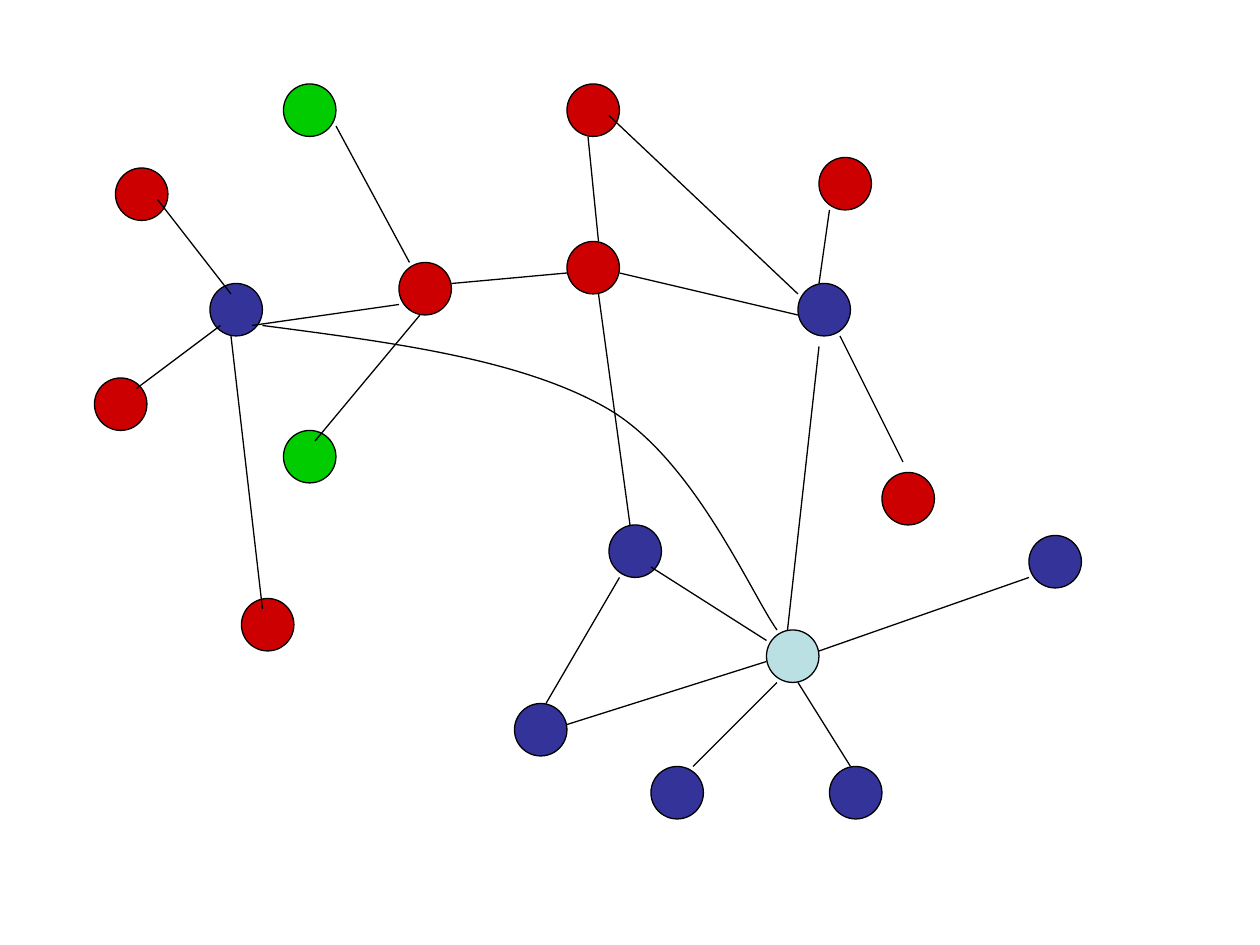
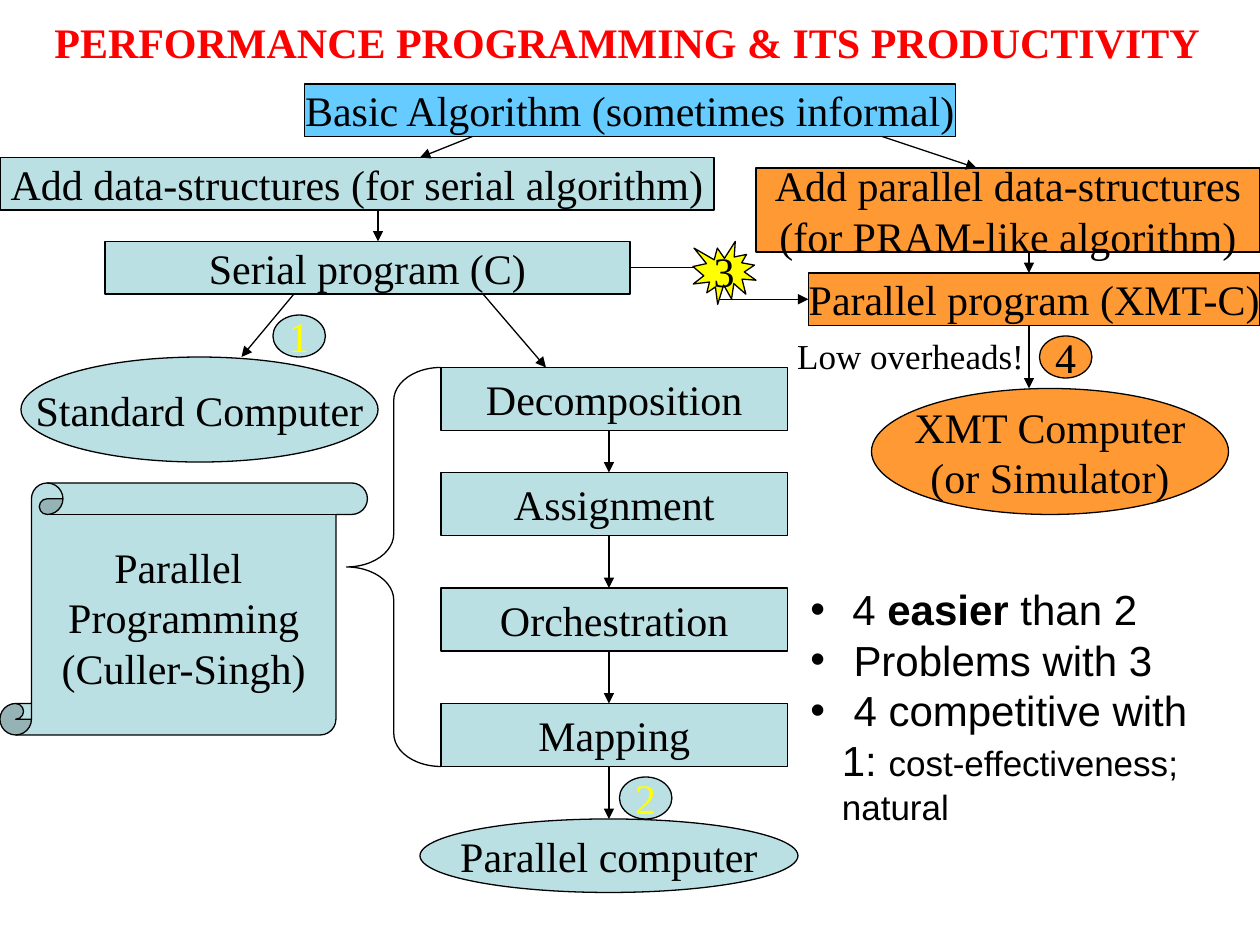
import pptx
import pptx.dml.color
import pptx.enum.shapes
import pptx.enum.text
import pptx.oxml.ns
import pptx.util
from lxml import etree

Pt = pptx.util.Pt
SHAPE = pptx.enum.shapes.MSO_SHAPE
CONNECTOR = pptx.enum.shapes.MSO_CONNECTOR
qn = pptx.oxml.ns.qn

SERIF, SANS = "Times New Roman", "Arial"
BLACK, RED, YELLOW = "000000", "FF0000", "FFFF00"
SKY, PALE, ORANGE = "66CCFF", "BBE0E3", "FF9933"
CRIMSON, NAVY, GREEN = "CC0000", "333399", "00CC00"
NODE_SIZE = 30

NODES = {
    CRIMSON: [(228, 150), (66, 96), (468, 90), (138, 342), (324, 138),
              (324, 48), (54, 216), (504, 270)],
    NAVY: [(120, 162), (588, 306), (294, 402), (348, 300), (456, 162),
           (372, 438), (474, 438)],
    GREEN: [(162, 48), (162, 246)],
    PALE: [(438, 360)],
}
EDGES = [
    (468, 198, 450, 360), (456, 168, 348, 66), (468, 162, 474, 120),
    (354, 156, 456, 180), (480, 192, 516, 264), (468, 372, 588, 330),
    (456, 390, 486, 438), (444, 390, 396, 438), (324, 414, 438, 378),
    (372, 324, 438, 366), (132, 192, 150, 348), (144, 186, 228, 174),
    (90, 114, 132, 168), (126, 186, 78, 222), (240, 180, 180, 252),
    (192, 72, 234, 150), (336, 78, 342, 138), (258, 162, 324, 156),
    (342, 168, 360, 300), (354, 330, 312, 402),
]
LONG_EDGE = [(150, 186), (224.6, 195.8), (298.8, 205.2), (348, 234),
             (396.7, 262.8), (429.1, 339.1), (444, 360)]

STEPS = [("Decomposition", 210), ("Assignment", 270),
         ("Orchestration", 336), ("Mapping", 402)]
BOXES = [
    ("Basic Algorithm (sometimes informal)", 174, 48, 372, 30, SKY),
    ("Serial program (C)", 60, 138, 300, 30, PALE),
    ("Add data-structures (for serial algorithm)", 0, 90, 408, 30, PALE),
    ("Add parallel data-structures\n(for PRAM-like algorithm)", 432, 96, 288, 48, ORANGE),
    ("Parallel program (XMT-C)", 462, 156, 258, 30, ORANGE),
]
COMPUTERS = [
    ("XMT Computer\n(or Simulator)", 498, 222, 204, 72, ORANGE),
    ("Parallel computer", 240, 468, 216, 42, PALE),
    ("Standard Computer", 12, 204, 204, 60, PALE),
]
BADGES = [("1", 156, 180, PALE, YELLOW), ("2", 354, 444, PALE, YELLOW),
          ("4", 594, 192, ORANGE, BLACK)]
ARROWS = [
    (270, 78, 240, 90), (504, 78, 558, 96), (216, 120, 216, 138),
    (168, 168, 138, 204), (276, 168, 312, 210), (588, 186, 588, 222),
    (588, 144, 588, 156), (348, 438, 348, 468),
]
FINDINGS = [
    [(" ", SERIF, 24, False), ("4 ", SANS, 24, False),
     ("easier", SANS, 24, True), (" than 2", SANS, 24, False)],
    [(" Problems with 3", SANS, 24, False)],
    [(" 4 competitive with 1: ", SANS, 24, False),
     ("cost-effectiveness; natural", SANS, 20, False)],
]


def colour(value):
    return pptx.dml.color.RGBColor.from_string(value)


class Page:
    """One slide of the deck with its thin black outlines and serif text."""

    def __init__(self, deck):
        self.shapes = deck.slides.add_slide(deck.slide_layouts[6]).shapes

    def outline(self, item):
        item.line.color.rgb = colour(BLACK)
        item.line.width = Pt(0.75)

    def style(self, font, size=24, tint=BLACK, name=SERIF, bold=False):
        font.name, font.size, font.bold = name, Pt(size), bold
        font.color.rgb = colour(tint)

    def shape(self, kind, left, top, width, height, fill=None, text="", tint=BLACK, adjust=()):
        item = self.shapes.add_shape(kind, Pt(left), Pt(top), Pt(width), Pt(height))
        item.shadow.inherit = False
        self.outline(item)
        if fill:
            item.fill.solid()
            item.fill.fore_color.rgb = colour(fill)
        else:
            item.fill.background()
        for index, value in enumerate(adjust):
            item.adjustments[index] = value
        if text:
            frame = item.text_frame
            frame.text = text
            frame.word_wrap = False
            frame.vertical_anchor = pptx.enum.text.MSO_ANCHOR.MIDDLE
            for para in frame.paragraphs:
                para.alignment = pptx.enum.text.PP_ALIGN.CENTER
                self.style(para.runs[0].font, tint=tint)

    def line(self, start_x, start_y, end_x, end_y, arrow=False, kind=CONNECTOR.STRAIGHT):
        item = self.shapes.add_connector(kind, Pt(start_x), Pt(start_y), Pt(end_x), Pt(end_y))
        self.outline(item)
        properties = item._element.spPr
        if arrow:
            etree.SubElement(properties.find(qn("a:ln")), qn("a:tailEnd"), type="triangle")
        etree.SubElement(properties, qn("a:effectLst"))

    def curve(self, points):
        corners = [(Pt(x), Pt(y)) for x, y in points]
        builder = self.shapes.build_freeform(*corners[0])
        builder.add_line_segments(corners[1:], close=False)
        item = builder.convert_to_shape()
        item.shadow.inherit = False
        item.fill.background()
        self.outline(item)
        route = item._element.find(".//" + qn("a:path"))
        segments = route.findall(qn("a:lnTo"))
        for first in range(0, len(segments), 3):
            bend = etree.SubElement(route, qn("a:cubicBezTo"))
            for segment in segments[first:first + 3]:
                bend.append(segment[0])
                route.remove(segment)

    def box(self, left, top, width, height, wrap=True):
        item = self.shapes.add_textbox(Pt(left), Pt(top), Pt(width), Pt(height))
        item.text_frame.word_wrap = wrap
        return item.text_frame

    def label(self, text, left, top, width, height, wrap=True, **style):
        frame = self.box(left, top, width, height, wrap)
        frame.text = text
        self.style(frame.paragraphs[0].runs[0].font, **style)

    def bullets(self, items, left, top, width, height):
        frame = self.box(left, top, width, height)
        for index, spans in enumerate(items):
            para = frame.add_paragraph() if index else frame.paragraphs[0]
            properties = para._p.get_or_add_pPr()
            properties.set("marL", str(Pt(18)))
            properties.set("indent", str(-Pt(18)))
            etree.SubElement(properties, qn("a:buFont"), typeface=SANS)
            etree.SubElement(properties, qn("a:buChar"), char="•")
            for text, name, size, bold in spans:
                span = para.add_run()
                span.text = text
                self.style(span.font, size, name=name, bold=bold)


def draw_network(page):
    for fill, places in NODES.items():
        for left, top in places:
            page.shape(SHAPE.OVAL, left, top, NODE_SIZE, NODE_SIZE, fill)
    for edge in EDGES:
        page.line(*edge)
    page.curve(LONG_EDGE)


def draw_workflow(page):
    for text, *place, fill in BOXES:
        page.shape(SHAPE.RECTANGLE, *place, fill, text)
    for text, top in STEPS:
        page.shape(SHAPE.RECTANGLE, 252, top, 198, 36, PALE, text)
    for (_, upper), (_, lower) in zip(STEPS, STEPS[1:]):
        page.line(348, upper + 36, 348, lower, arrow=True)
    page.shape(SHAPE.LEFT_BRACE, 198, 210, 54, 228, adjust=(0.35, 0.5))
    page.shape(SHAPE.VERTICAL_SCROLL, 0, 276, 210, 144, PALE,
               "Parallel \nProgramming\n(Culler-Singh)", adjust=(0.125,))
    for text, *place, fill in COMPUTERS:
        page.shape(SHAPE.OVAL, *place, fill, text)
    page.line(360, 153, 462, 171, arrow=True, kind=CONNECTOR.ELBOW)
    page.shape(SHAPE.EXPLOSION1, 396, 138, 36, 36, YELLOW, "3")
    for arrow in ARROWS:
        page.line(*arrow, arrow=True)
    for text, left, top, fill, tint in BADGES:
        page.shape(SHAPE.OVAL, left, top, 30, 24, fill, text, tint)
    page.bullets(FINDINGS, 456, 330, 252, 117.6)
    page.label("PERFORMANCE PROGRAMMING & ITS PRODUCTIVITY", 24, 6, 677.5, 36,
               tint=RED, bold=True)
    page.label("Low overheads!", 448.5, 187.5, 144, 31, wrap=False, size=20)


def main():
    deck = pptx.Presentation()
    deck.slide_width, deck.slide_height = Pt(720), Pt(540)
    draw_network(Page(deck))
    draw_workflow(Page(deck))
    deck.save("out.pptx")


if __name__ == "__main__":
    main()
